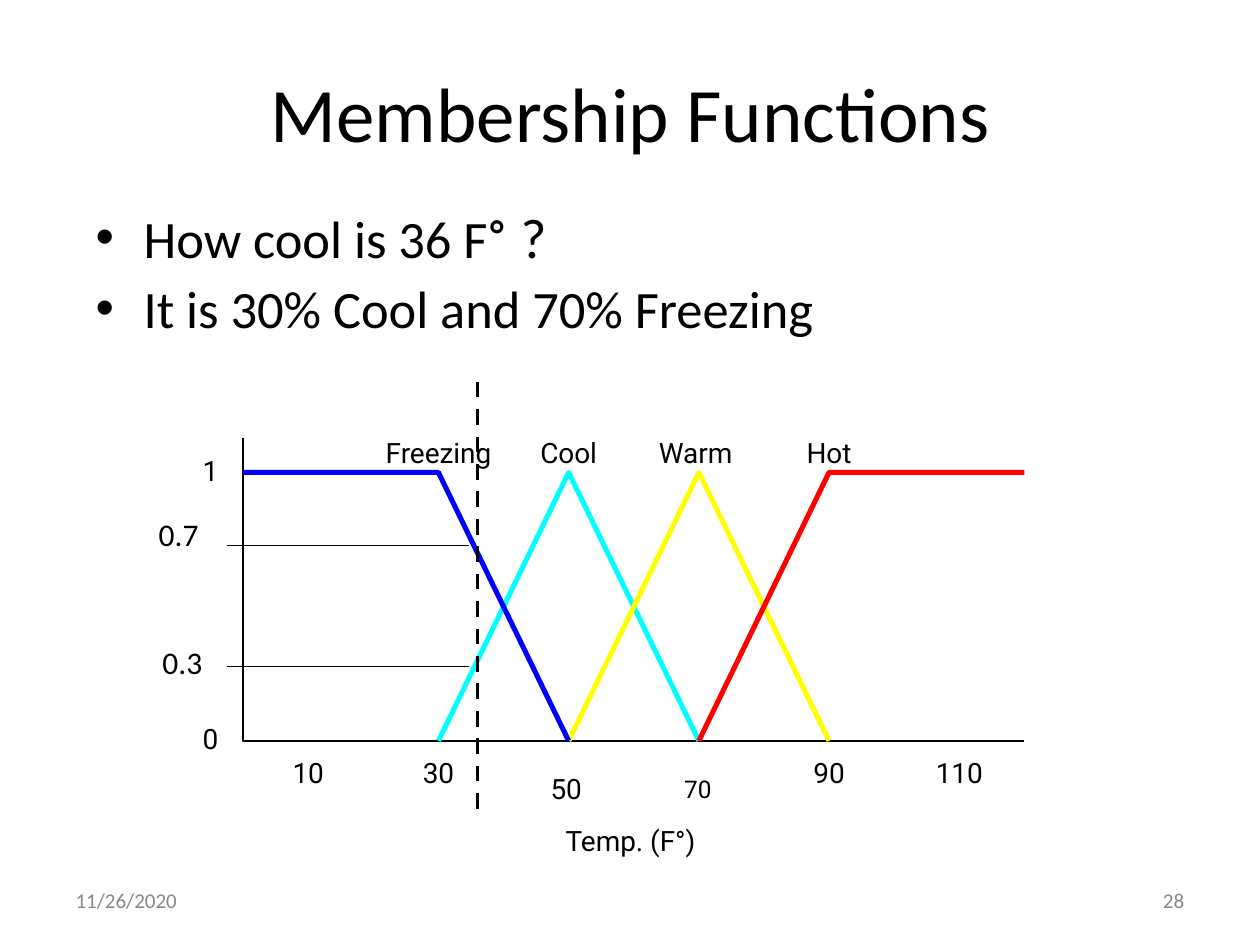
from pptx import Presentation
from pptx.dml.color import RGBColor
from pptx.enum.dml import MSO_LINE
from pptx.enum.shapes import MSO_CONNECTOR
from pptx.enum.text import MSO_ANCHOR, PP_ALIGN
from pptx.oxml.ns import qn
from pptx.util import Inches, Pt
from lxml import etree

LEFT, MID = PP_ALIGN.LEFT, PP_ALIGN.CENTER
TOP = MSO_ANCHOR.TOP
DASH = MSO_LINE.DASH
STRAIGHT = MSO_CONNECTOR.STRAIGHT

COLORS = {
    "ink": "000000", "gray": "888888", "freezing": "0000FF",
    "cool": "00FFFF", "warm": "FFFF00", "hot": "FF0000",
}
# Plot grid: temperature 0 to 120 across, membership 0 to 1 upward
ORIGIN_X, ORIGIN_Y = 1.93, 5.88
DEGREE, UNIT = 6.2 / 120, 2.13

CURVES = {
    "cool": [(30, 0), (50, 1), (70, 0)],
    "warm": [(50, 0), (70, 1), (90, 0)],
    "freezing": [(50, 0), (30, 1), (0, 1)],
    "hot": [(70, 0), (90, 1), (120, 1)],
}
NAMES = [("Freezing", 30, 0.88), ("Cool", 50, 0.48),
         ("Warm", 69.5, 0.61), ("Hot", 90, 0.37)]


def color(name):
    return RGBColor.from_string(COLORS[name])


def assign(thing, values):
    for key, value in values.items():
        setattr(thing, key, value)


def plot(temp, value):
    return ORIGIN_X + temp * DEGREE, ORIGIN_Y - value * UNIT


def add_box(slide, left, top, width, height, inset=0.0, wrap=True):
    frame = slide.shapes.add_textbox(
        *map(Inches, (left, top, width, height))).text_frame
    assign(frame, {
        "margin_left": 0, "margin_right": 0, "margin_bottom": 0,
        "margin_top": Inches(inset), "word_wrap": wrap,
        "vertical_anchor": TOP,
    })
    return frame


def add_run(para, text, size, face="Calibri", ink="ink"):
    run = para.add_run()
    run.text = text
    assign(run.font, {"size": Pt(size), "name": face})
    run.font.color.rgb = color(ink)
    return run


def add_line(frame, runs, before=0.0, align=LEFT, first=True, **extra):
    """Write one paragraph; runs are tuples of add_run arguments."""
    para = frame.paragraphs[0] if first else frame.add_paragraph()
    assign(para, {"space_before": Pt(before), "alignment": align, **extra})
    for run in runs:
        add_run(para, *run)
    return para


def add_bullet(para):
    props = para._p.get_or_add_pPr()
    props.set("marL", str(Inches(0.39)))
    props.set("indent", str(Inches(-0.38)))
    etree.SubElement(props, qn("a:buFont")).set("typeface", "Arial")
    etree.SubElement(props, qn("a:buChar")).set("char", "•")


def add_tab(para, pos):
    tabs = etree.SubElement(para._p.get_or_add_pPr(), qn("a:tabLst"))
    tab = etree.SubElement(tabs, qn("a:tab"))
    tab.set("pos", str(Inches(pos)))
    tab.set("algn", "l")


def add_label(slide, text, center, top, width):
    frame = add_box(slide, center - width / 2, top, width, 0.3, 0.02, False)
    add_line(frame, [(text, 16, "Roboto")], 1.2, MID)


def add_path(slide, points, ink, weight):
    spots = [tuple(map(Inches, point)) for point in points]
    pen = slide.shapes.build_freeform(*spots[0], scale=1.0)
    pen.add_line_segments(spots[1:], close=False)
    shape = pen.convert_to_shape()
    shape.shadow.inherit = False
    shape.fill.background()
    shape.line.color.rgb = color(ink)
    shape.line.width = Pt(weight)


def add_rule(slide, start, end, weight, dash=None):
    rule = slide.shapes.add_connector(
        STRAIGHT, *map(Inches, (*start, *end)))
    rule.line.color.rgb = color("ink")
    assign(rule.line, {"width": Pt(weight), "dash_style": dash})
    etree.SubElement(rule._element.spPr, qn("a:effectLst"))


def add_heading(slide):
    frame = add_box(slide, 2.13, 0.51, 5.75, 0.76, 0.01, False)
    add_line(frame, [("Membership Functions", 44)], 1.1, MID)

    frame = add_box(slide, 0.75, 1.54, 6, 1.16, 0.07)
    add_bullet(add_line(frame, [("How cool is 36 F", 30),
                                ("° ", 30, "Roboto"), ("?", 32)], 4.7))
    add_bullet(add_line(frame, [("It is 30% Cool and 70% Freezing", 30)],
                        3.5, first=False))


def add_chart_text(slide):
    for temp in (10, 30, 90, 110):
        add_label(slide, str(temp), plot(temp, 0)[0], 5.98, 0.39)
    for name, temp, width in NAMES:
        add_label(slide, name, plot(temp, 0)[0], 3.44, width)
    for text, top in (("0", 5.71), ("1", 3.58)):
        add_label(slide, text, 1.67, top, 0.15)

    # Middle ticks above the axis title
    frame = add_box(slide, 4.37, 5.87, 1.4, 0.81, 0.14)
    ticks = add_line(frame, [("50\t", 16, "Roboto"), ("70", 24, "Roboto")], 9.9)
    add_tab(ticks, 1.06)
    ticks.runs[1].font._element.set("baseline", "2000")
    title = add_line(frame, [("Temp. (F°)", 16, "Roboto")], 9, first=False)
    title._p.get_or_add_pPr().set("marL", str(Inches(0.12)))

    # Membership values read off at 36 degrees
    frame = add_box(slide, 1.26, 4.08, 0.4, 1.35, 0.01)
    add_line(frame, [("0.7", 18)], 1)
    low = add_line(frame, [("0.3", 18)], 51.5, first=False)
    low._p.get_or_add_pPr().set("marL", str(Inches(0.03)))


def add_footer(slide):
    for text, left, width in (("11/26/2020", 0.6, 0.95), ("28", 9.23, 0.3)):
        frame = add_box(slide, left, 7.07, width, 0.19)
        add_line(frame, [(text, 12, "Calibri", "gray")],
                 line_spacing=Pt(12.4))


def main():
    deck = Presentation()
    assign(deck, {"slide_width": Inches(10), "slide_height": Inches(7.5)})
    slide = deck.slides.add_slide(deck.slide_layouts[6])
    add_heading(slide)

    # Axes, then membership curves
    add_path(slide, [plot(0, 1.13), plot(0, 0), plot(120, 0)], "ink", 1)
    for name, points in CURVES.items():
        add_path(slide, [plot(*point) for point in points], name, 2.88)
    add_chart_text(slide)

    # Reading lines at 36 degrees
    cut = plot(36, 0)[0]
    add_rule(slide, (cut, 6.42), (cut, 3), 2.25, DASH)
    for level in (4.33, 5.29):
        add_rule(slide, (3.72, level), (1.8, level), 1)
    add_footer(slide)
    deck.save("out.pptx")


if __name__ == "__main__":
    main()
